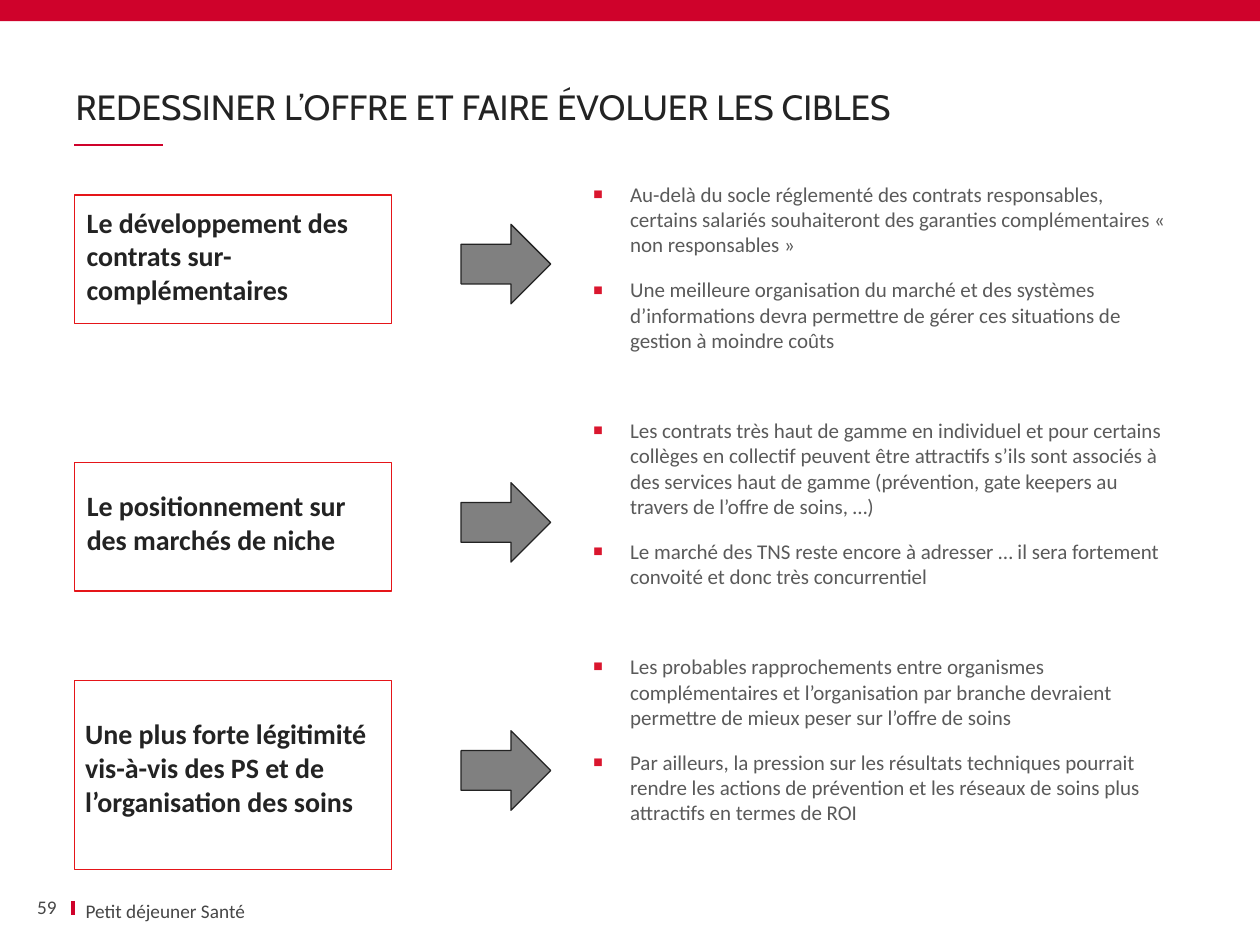
from dataclasses import dataclass

from lxml.etree import SubElement as Sub
from pptx import Presentation
from pptx.dml.color import RGBColor as Rgb
from pptx.enum.shapes import MSO_CONNECTOR as Link, MSO_SHAPE as Kind
from pptx.enum.text import MSO_ANCHOR as Anchor, MSO_AUTO_SIZE as Fit, PP_ALIGN as Align
from pptx.oxml.ns import qn
from pptx.util import Pt


@dataclass(frozen=True)
class Theme:
    red: str = "CF022B"
    frame: str = "E51519"
    mark: str = "DA162E"
    dark: str = "232323"
    body: str = "5A5A5A"
    foot: str = "464646"
    gray: str = "808080"
    white: str = "FFFFFF"
    head_font: str = "Cabin"
    font: str = "Calibri"
    head_size: int = 20
    label_size: int = 16
    body_size: int = 12
    foot_size: int = 11


@dataclass(frozen=True)
class Box:
    left: float
    top: float
    width: float
    height: float

    def pts(self) -> list:
        return [Pt(n) for n in (self.left, self.top, self.width, self.height)]


@dataclass(frozen=True)
class Topic:
    label: str
    frame: Box
    text: Box
    arrow_top: float
    points: tuple


T = Theme()
LEFT, WIDE = 42.5, 181.4
TOPICS = (
    Topic("Le développement des contrats sur-complémentaires",
          Box(LEFT, 111.4, WIDE, 73.6), Box(LEFT, 113.8, 175.7, 65.5), 128.2,
          ("Au-delà du socle réglementé des contrats responsables, certains salariés "
           "souhaiteront des garanties complémentaires « non responsables »",
           "Une meilleure organisation du marché et des systèmes d’informations devra "
           "permettre de gérer ces situations de gestion à moindre coûts")),
    Topic("Le positionnement sur des marchés de niche",
          Box(LEFT, 264.2, WIDE, 73.6), Box(LEFT, 275.8, WIDE, 46), 275.8,
          ("Les contrats très haut de gamme en individuel et pour certains collèges en "
           "collectif peuvent être attractifs s’ils sont associés à des services haut de "
           "gamme (prévention, gate keepers au travers de l’offre de soins, …)",
           "Le marché des TNS reste encore à adresser … il sera fortement convoité et "
           "donc très concurrentiel")),
    Topic("Une plus forte légitimité vis-à-vis des PS et de l’organisation des soins",
          Box(LEFT, 388.8, WIDE, 108), Box(41.6, 406.1, WIDE, 65.5), 417.6,
          ("Les probables rapprochements entre organismes complémentaires et "
           "l’organisation par branche devraient permettre de mieux peser sur l’offre "
           "de soins",
           "Par ailleurs, la pression sur les résultats techniques pourrait rendre les "
           "actions de prévention et les réseaux de soins plus attractifs en termes "
           "de ROI")),
)


def add_run(para, text: str, size: int, color: str, font: str = T.font,
            bold: bool = False) -> None:
    run = para.add_run()
    run.text = text
    run.font.name, run.font.size, run.font.bold = font, Pt(size), bold
    run.font.color.rgb = Rgb.from_string(color)


def add_form(slide, kind: Kind, box: Box, fill: str, line: str = "") -> None:
    form = slide.shapes.add_shape(kind, *box.pts())
    form.shadow.inherit = False
    form.fill.solid()
    form.fill.fore_color.rgb = Rgb.from_string(fill)
    if line:
        form.line.color.rgb = Rgb.from_string(line)
        form.line.width = Pt(0.75)
    else:
        form.line.fill.background()


def add_line(slide, x: float, y: float, x2: float, y2: float, width: float) -> None:
    line = slide.shapes.add_connector(Link.STRAIGHT, Pt(x), Pt(y), Pt(x2), Pt(y2))
    line.line.color.rgb = Rgb.from_string(T.red)
    line.line.width = Pt(width)
    Sub(line._element.spPr, qn("a:effectLst"))


def add_text(slide, box: Box, anchor: Anchor = Anchor.TOP, side: float = 7.2):
    frame = slide.shapes.add_textbox(*box.pts()).text_frame
    frame.word_wrap = True
    frame.vertical_anchor = anchor
    frame.margin_left = frame.margin_right = Pt(side)
    return frame


def add_mark(para) -> None:
    """Hanging square bullet."""
    props = para._p.get_or_add_pPr()
    props.set("marL", str(Pt(21)))
    props.set("indent", str(-Pt(21)))
    Sub(Sub(props, qn("a:buClr")), qn("a:srgbClr"), val=T.mark)
    Sub(props, qn("a:buSzPct"), val="75000")
    Sub(props, qn("a:buFont"), typeface="Arial")
    Sub(props, qn("a:buChar"), char="■")


def add_points(slide) -> None:
    frame = add_text(slide, Box(332, 100.1, 345.6, 414))
    for row, topic in enumerate(TOPICS):
        for col, text in enumerate(topic.points):
            first = row == col == 0
            para = frame.paragraphs[0] if first else frame.add_paragraph()
            add_mark(para)
            # A new topic starts after a wider gap
            para.space_before = Pt(0 if first else 9 if col else 34.8)
            para.space_after = Pt(2.4)
            add_run(para, text, T.body_size, T.body)


def add_topic(slide, topic: Topic) -> None:
    add_form(slide, Kind.RECTANGLE, topic.frame, T.white, T.frame)
    frame = add_text(slide, topic.text)
    frame.auto_size = Fit.SHAPE_TO_FIT_TEXT
    add_run(frame.paragraphs[0], topic.label, T.label_size, T.dark, bold=True)
    add_form(slide, Kind.RIGHT_ARROW, Box(263.5, topic.arrow_top, 51.2, 45.4),
             T.gray, T.dark)


def add_title(slide, text: str) -> None:
    title = slide.shapes.title
    title.left, title.top, title.width, title.height = Box(43.2, 15.1, 633.6, 61.9).pts()
    frame = title.text_frame
    frame.auto_size = Fit.NONE
    frame.vertical_anchor = Anchor.BOTTOM
    frame.margin_left = frame.margin_right = 0
    para = frame.paragraphs[0]
    para.alignment, para.line_spacing = Align.LEFT, 0.9
    add_run(para, text, T.head_size, T.dark, T.head_font)


def main() -> None:
    deck = Presentation()
    deck.slide_width, deck.slide_height = Pt(720), Pt(540)
    slide = deck.slides.add_slide(deck.slide_layouts[5])

    # Top band, title and rules
    add_form(slide, Kind.RECTANGLE, Box(0, 0, 720, 12.2), T.red)
    add_title(slide, "REDESSINER L’OFFRE ET FAIRE ÉVOLUER LES CIBLES")
    add_line(slide, LEFT, 82.8, 92.9, 82.8, 1)
    add_line(slide, 41.8, 514.8, 41.8, 522.7, 2.25)

    # Topics and their points
    add_points(slide)
    for topic in TOPICS:
        add_topic(slide, topic)

    # Footer and page number
    foot = add_text(slide, Box(41.8, 514.1, 357.8, 13), Anchor.MIDDLE)
    add_run(foot.paragraphs[0], "Petit déjeuner Santé", T.foot_size, T.foot)
    page = add_text(slide, Box(9.4, 511.9, 23, 13), Anchor.MIDDLE, 0)
    page.paragraphs[0].alignment = Align.RIGHT
    add_run(page.paragraphs[0], "59", T.foot_size, T.foot)

    deck.save("out.pptx")


if __name__ == "__main__":
    main()
